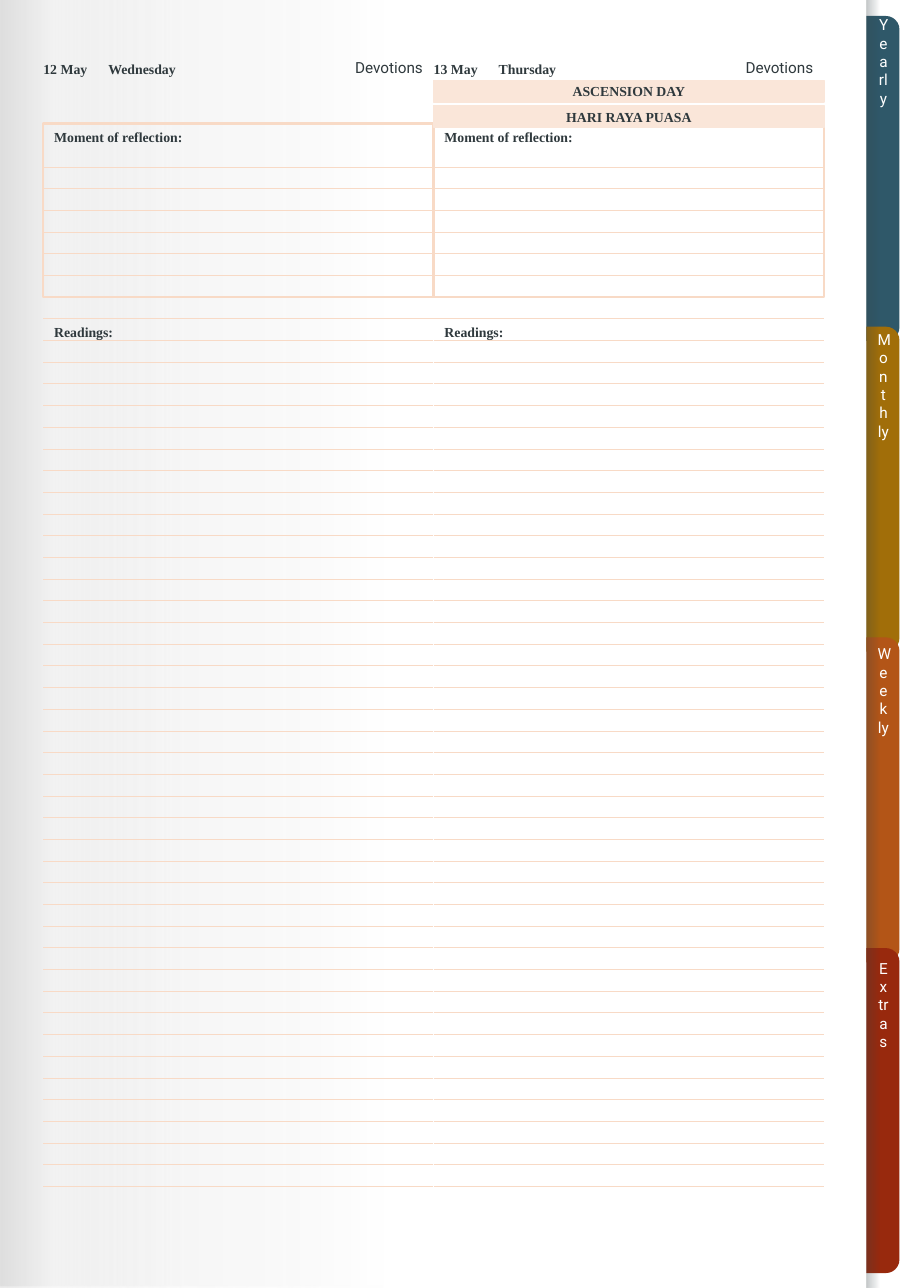
from dataclasses import dataclass
from lxml.etree import SubElement
from pptx import Presentation
from pptx.dml.color import RGBColor
from pptx.enum.shapes import MSO_CONNECTOR, MSO_SHAPE
from pptx.enum.text import MSO_ANCHOR, PP_ALIGN
from pptx.oxml.ns import qn
from pptx.util import Inches, Pt

WIDTH, HEIGHT = 8.27, 11.69
GRID = 5 / 25.4  # the planner is ruled every 5 mm
LEFT = 2 * GRID
COL = 18 * GRID
TOP = 5.7 * GRID
HEAD = 2.7 * GRID
BOX_ROWS = 8
RULES = [*range(2, BOX_ROWS), *range(9, 50)]


@dataclass(frozen=True)
class Theme:
    ink: str = "2F393D"
    white: str = "FFFFFF"
    rule: str = "F8DAC6"
    feast: str = "FAE6D9"
    serif: str = "Times New Roman"
    sans: str = "Roboto"
    small: float = 9
    body: float = 10
    thin: float = 0.5
    mid: float = 1
    thick: float = 1.5
    shade: tuple = ((0, "D9D9D9", 88), (6, "D9D9D9", 33),
                    (19, "F2F2F2", 65), (43, "FFFFFF", 100))
    spine: tuple = ((0, "384448", 30), (31, "384448", 0))
    tabs: tuple = (("Yearly", "2F5869"), ("Monthly", "A16E09"),
                   ("Weekly", "B35517"), ("Extras", "98290D"))


class Page:
    def __init__(self, slide, theme):
        self.slide = slide
        self.theme = theme

    def shape(self, x, y, w, h, fill=None, line=None, weight=1,
              kind=MSO_SHAPE.RECTANGLE):
        item = self.slide.shapes.add_shape(
            kind, Inches(x), Inches(y), Inches(w), Inches(h))
        item.shadow.inherit = False
        if fill:
            item.fill.solid()
            item.fill.fore_color.rgb = RGBColor.from_string(fill)
        else:
            item.fill.background()
        if line:
            item.line.color.rgb = RGBColor.from_string(line)
            item.line.width = Pt(weight)
        else:
            item.line.fill.background()
        return item

    def fade(self, x, w, stops):
        """Full-height band fading left to right; stops are (percent, colour, opacity)."""
        item = self.shape(x, 0, w, HEIGHT)
        props = item.element.spPr
        old = props.find(qn("a:noFill"))
        grad = props.makeelement(qn("a:gradFill"), {"rotWithShape": "1"})
        props.replace(old, grad)
        steps = SubElement(grad, qn("a:gsLst"))
        for place, color, alpha in stops:
            stop = SubElement(steps, qn("a:gs"), pos=str(place * 1000))
            tint = SubElement(stop, qn("a:srgbClr"), val=color)
            if alpha < 100:
                SubElement(tint, qn("a:alpha"), val=str(alpha * 1000))
        SubElement(grad, qn("a:lin"), ang="0", scaled="0")

    def line(self, x1, y1, x2, y2, color, weight):
        item = self.slide.shapes.add_connector(
            MSO_CONNECTOR.STRAIGHT, Inches(x1), Inches(y1), Inches(x2), Inches(y2))
        item.line.color.rgb = RGBColor.from_string(color)
        item.line.width = Pt(weight)
        SubElement(item.element.spPr, qn("a:effectLst"))
        return item

    def text(self, item, words, size, font, color, bold=False,
             align=PP_ALIGN.LEFT, anchor=MSO_ANCHOR.MIDDLE, pad=0.1, space=None):
        frame = item.text_frame
        frame.word_wrap = True
        frame.vertical_anchor = anchor
        frame.margin_left, frame.margin_right = Inches(pad), Inches(0.1)
        frame.margin_top = frame.margin_bottom = 0
        para = frame.paragraphs[0]
        para.alignment = align
        if space:
            para.line_spacing = space
        run = para.add_run()
        run.text = words
        run.font.size = Pt(size)
        run.font.name = font
        run.font.bold = bold
        run.font.color.rgb = RGBColor.from_string(color)

    def label(self, x, y, w, h, words, **style):
        """Text box in the bold serif of the planner unless style says otherwise."""
        box = self.slide.shapes.add_textbox(
            Inches(x), Inches(y), Inches(w), Inches(h))
        t = self.theme
        base = dict(size=t.small, font=t.serif, color=t.ink, bold=True)
        self.text(box, words, **{**base, **style})
        return box

    def tabs(self):
        for i, (_, color) in enumerate(self.theme.tabs):
            tab = self.shape(6.54, 1.47 + 2.82 * i, 2.95, 0.3, color,
                             kind=MSO_SHAPE.ROUND_2_SAME_RECTANGLE)
            tab.adjustments[0], tab.adjustments[1] = 0.41, 0
            tab.rotation = 90

    def names(self):
        t = self.theme
        for i, (name, _) in enumerate(t.tabs):
            box = self.label(7.87, 0.14 + 14.5 * GRID * i, 0.3, 2.85, name,
                             size=t.body, font=t.sans, color=t.white,
                             bold=False, align=PP_ALIGN.CENTER)
            box.element.txBody.bodyPr.set("vert", "mongolianVert")

    def column(self, x):
        t = self.theme
        frame = self.shape(x, TOP, COL, BOX_ROWS * GRID, line=t.rule, weight=t.thick)
        for row in RULES:
            y = TOP + row * GRID
            rule = self.line(x, y, x + COL, y, t.rule, t.thin)
            if row == BOX_ROWS // 2:
                rule.begin_connect(frame, 1)
                rule.end_connect(frame, 3)
        for row, w, words in ((0, COL, "Moment of reflection:"),
                              (9, COL / 2, "Readings:")):
            self.label(x, TOP + row * GRID, w, GRID, words,
                       anchor=MSO_ANCHOR.BOTTOM, space=0.9)

    def feast(self, x, y, words):
        t = self.theme
        bar = self.shape(x, y, COL, GRID, t.feast, t.feast, t.mid)
        self.text(bar, words, t.small, t.serif, t.ink, True, PP_ALIGN.CENTER)

    def heading(self, x, date, day):
        t = self.theme
        self.label(x, HEAD, 3 * GRID, GRID, date, pad=0)
        self.label(x + 3 * GRID, HEAD, 4 * GRID, GRID, day, pad=0)
        self.label(x + 7 * GRID, HEAD, 11 * GRID, 0.3, "Devotions",
                   size=t.body, font=t.sans, bold=False,
                   align=PP_ALIGN.RIGHT, anchor=MSO_ANCHOR.TOP)


def main():
    deck = Presentation()
    deck.slide_width, deck.slide_height = Inches(WIDTH), Inches(HEIGHT)
    theme = Theme()
    page = Page(deck.slides.add_slide(deck.slide_layouts[6]), theme)
    right = LEFT + COL

    page.fade(0, WIDTH, theme.shade)
    page.tabs()
    page.fade(7.87, 0.39, theme.spine)
    page.column(LEFT)
    page.line(right, TOP + 9 * GRID, right, HEIGHT, theme.white, theme.thick)
    page.column(right)
    page.feast(right, 0.96, "HARI RAYA PUASA")
    page.feast(right, 0.73, "ASCENSION DAY")
    page.heading(LEFT, "12 May", "Wednesday")
    page.heading(right, "13 May", "Thursday")
    page.names()
    deck.save("out.pptx")


if __name__ == "__main__":
    main()
